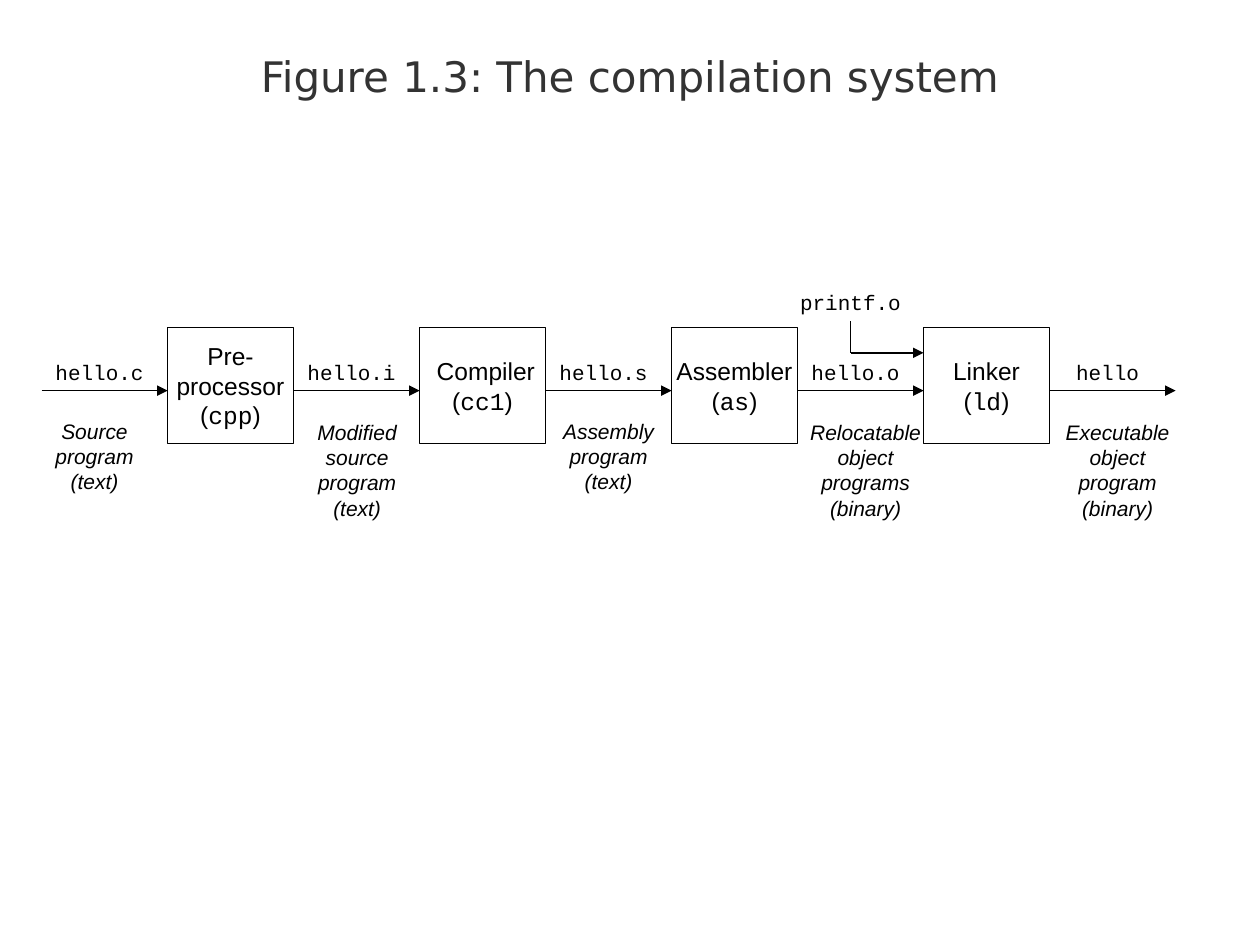
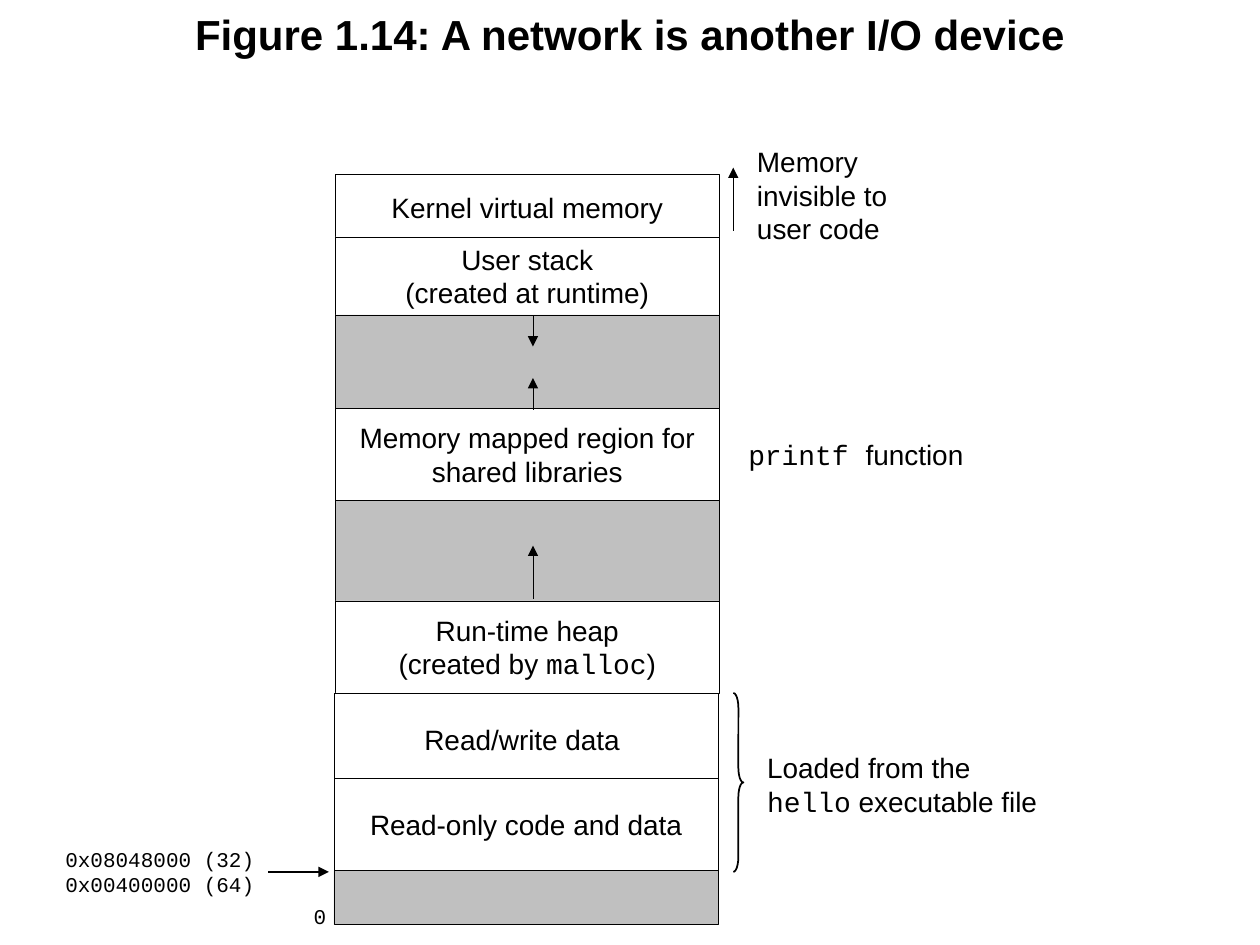
from lxml import etree
from pptx import Presentation
from pptx.dml.color import RGBColor
from pptx.enum.shapes import MSO_CONNECTOR, MSO_SHAPE
from pptx.enum.text import MSO_ANCHOR, MSO_AUTO_SIZE, PP_ALIGN
from pptx.oxml.ns import qn
from pptx.util import Pt

RECTANGLE, BRACE = MSO_SHAPE.RECTANGLE, MSO_SHAPE.RIGHT_BRACE
STRAIGHT = MSO_CONNECTOR.STRAIGHT
LEFT, CENTER = PP_ALIGN.LEFT, PP_ALIGN.CENTER
TOP, MIDDLE = MSO_ANCHOR.TOP, MSO_ANCHOR.MIDDLE
FIXED = MSO_AUTO_SIZE.NONE

PX = 9144  # 100 px to the inch
SANS, MONO, HEADING = "Arial", "Courier New", "DejaVu Sans"
COLORS = {name: RGBColor.from_string(value) for name, value in {
    "ink": "000000", "heading": "333333", "paper": "FFFFFF", "unused": "C0C0C0",
}.items()}


def write(shape, text, size=12, font=SANS, color="ink", bold=False, italic=False,
          align=CENTER, anchor=MIDDLE, wrap=False, spacing=None):
    """Fill a shape with text; parts between backticks are set as code."""
    frame = shape.text_frame
    frame.auto_size = FIXED
    frame.word_wrap = wrap
    frame.vertical_anchor = anchor
    for number, line in enumerate(text.split("\n")):
        para = frame.add_paragraph() if number else frame.paragraphs[0]
        para.alignment = align
        para.line_spacing = spacing
        for part, words in enumerate(line.split("`")):
            if not words:
                continue
            span = para.add_run()
            span.text = words
            span.font.name = MONO if part % 2 else font
            span.font.size = Pt(size)
            span.font.bold = bold
            span.font.italic = italic
            span.font.color.rgb = COLORS[color]


def draw_line(page, x1, y1, x2, y2, weight=1, arrow=True):
    """Draw a straight line, with an arrowhead at its end if wanted."""
    line = page.shapes.add_connector(STRAIGHT, x1 * PX, y1 * PX, x2 * PX, y2 * PX)
    line.line.color.rgb = COLORS["ink"]
    line.line.width = Pt(weight)
    if arrow:
        outline = line.line._get_or_add_ln()
        etree.SubElement(outline, qn("a:tailEnd"), type="triangle")
    etree.SubElement(line._element.spPr, qn("a:effectLst"))


deck = Presentation()
deck.slide_width, deck.slide_height = 1000 * PX, 750 * PX

# Pages with their titles
pages = []
for text, top, style in [
    ("Figure 1.3: The compilation system", 38, {"font": HEADING, "color": "heading"}),
    ("Figure 1.14: A network is another I/O device", 5, {"bold": True}),
]:
    page = deck.slides.add_slide(deck.slide_layouts[5])
    title = page.shapes.title
    title.left, title.top, title.width, title.height = 50 * PX, top * PX, 900 * PX, 95 * PX
    write(title, text, size=24, anchor=TOP, wrap=True, spacing=0.95, **style)
    pages.append(page)
compilation, memory = pages

# Compilation: the four tools
PITCH, TOOL_WIDTH, FLOW_Y = 200, 100, 310
tools = ["Pre-\nprocessor\n(`cpp`)", " Compiler\n(`cc1`)", "Assembler\n(`as`)", "Linker\n(`ld`)"]
for number, text in enumerate(tools):
    tool = compilation.shapes.add_shape(
        RECTANGLE, (133 + number * PITCH) * PX, 260 * PX, TOOL_WIDTH * PX, 92 * PX)
    tool.shadow.inherit = False
    tool.fill.background()
    tool.line.color.rgb = COLORS["ink"]
    tool.line.width = Pt(1)
    write(tool, text, size=14)

# Compilation: files that pass between the tools (name, name box, caption, caption box)
files = [
    ("hello.c", 34, 90, "Source\nprogram\n(text)", 34, 327, 82, 70),
    ("hello.i", 234, 90, "Modified\nsource\nprogram\n(text)", 242, 328, 83, 90),
    ("hello.s", 434, 90, "Assembly\nprogram\n(text)", 437, 327, 92, 70),
    ("hello.o", 634, 90, "Relocatable\nobject\nprograms\n(binary)", 633, 328, 108, 90),
    ("hello", 844, 70, "Executable\nobject\nprogram\n(binary)", 836, 328, 102, 90),
]
for number, (name, name_left, name_width, caption, left, top, width, height) in enumerate(files):
    start = 33 + number * PITCH
    draw_line(compilation, start, FLOW_Y, start + PITCH - TOOL_WIDTH, FLOW_Y)
    box = compilation.shapes.add_textbox(name_left * PX, 280 * PX, name_width * PX, 30 * PX)
    write(box, name, font=MONO)
    box = compilation.shapes.add_textbox(left * PX, top * PX, width * PX, height * PX)
    write(box, caption, italic=True)

# Compilation: library file that joins at the linker
box = compilation.shapes.add_textbox(625 * PX, 225 * PX, 100 * PX, 30 * PX)
write(box, "printf.o", font=MONO)
draw_line(compilation, 675, 255, 675, 280, arrow=False)
draw_line(compilation, 675, 280, 733, 280)

# Memory: regions from the highest address down (left, top, height, text)
regions = [
    (266, 138, 53, "Kernel virtual memory"),
    (266, 188, 62, "User stack\n(created at runtime)"),
    (266, 250, 74, ""),
    (266, 324, 73, "Memory mapped region for\nshared libraries"),
    (266, 397, 80, ""),
    (266, 477, 73, "Run-time heap\n(created by `malloc`)"),
    (265, 550, 73, "Read/write data "),
    (265, 618, 73, "Read-only code and data"),
    (265, 691, 43, ""),
]
for left, top, height, text in regions:
    region = memory.shapes.add_shape(RECTANGLE, left * PX, top * PX, 305 * PX, height * PX)
    region.shadow.inherit = False
    region.fill.solid()
    region.fill.fore_color.rgb = COLORS["paper" if text else "unused"]
    region.line.color.rgb = COLORS["ink"]
    region.line.width = Pt(0.25)
    if text:
        write(region, text, size=16)

# Memory: directions of growth, and the start address
for x, start, end in [(423, 250, 275), (423, 325, 300), (423, 475, 433), (582, 183, 133)]:
    draw_line(memory, x, start, x, end, weight=0.25)
draw_line(memory, 213, 692, 261, 692)

# Memory: brace around the loaded regions
brace = memory.shapes.add_shape(BRACE, 582 * PX, 550 * PX, 8 * PX, 142 * PX)
brace.adjustments[0] = 1.47
brace.shadow.inherit = False
brace.fill.background()
brace.line.color.rgb = COLORS["ink"]
brace.line.width = Pt(1)

# Memory: notes beside the regions
notes = [
    (591, 110, 123, 90, "Memory\ninvisible to\nuser code", 16),
    (584, 342, 191, 37, "`printf `function", 16),
    (599, 591, 234, 64, "Loaded from the\n`hello` executable file", 16),
    (42, 667, 170, 50, "`0x08048000 (32)`\n`0x00400000 (64)`", 12),
    (239, 712, 30, 30, "`0`", 12),
]
for left, top, width, height, text, size in notes:
    box = memory.shapes.add_textbox(left * PX, top * PX, width * PX, height * PX)
    write(box, text, size=size, align=LEFT, anchor=TOP)

deck.save("out.pptx")
